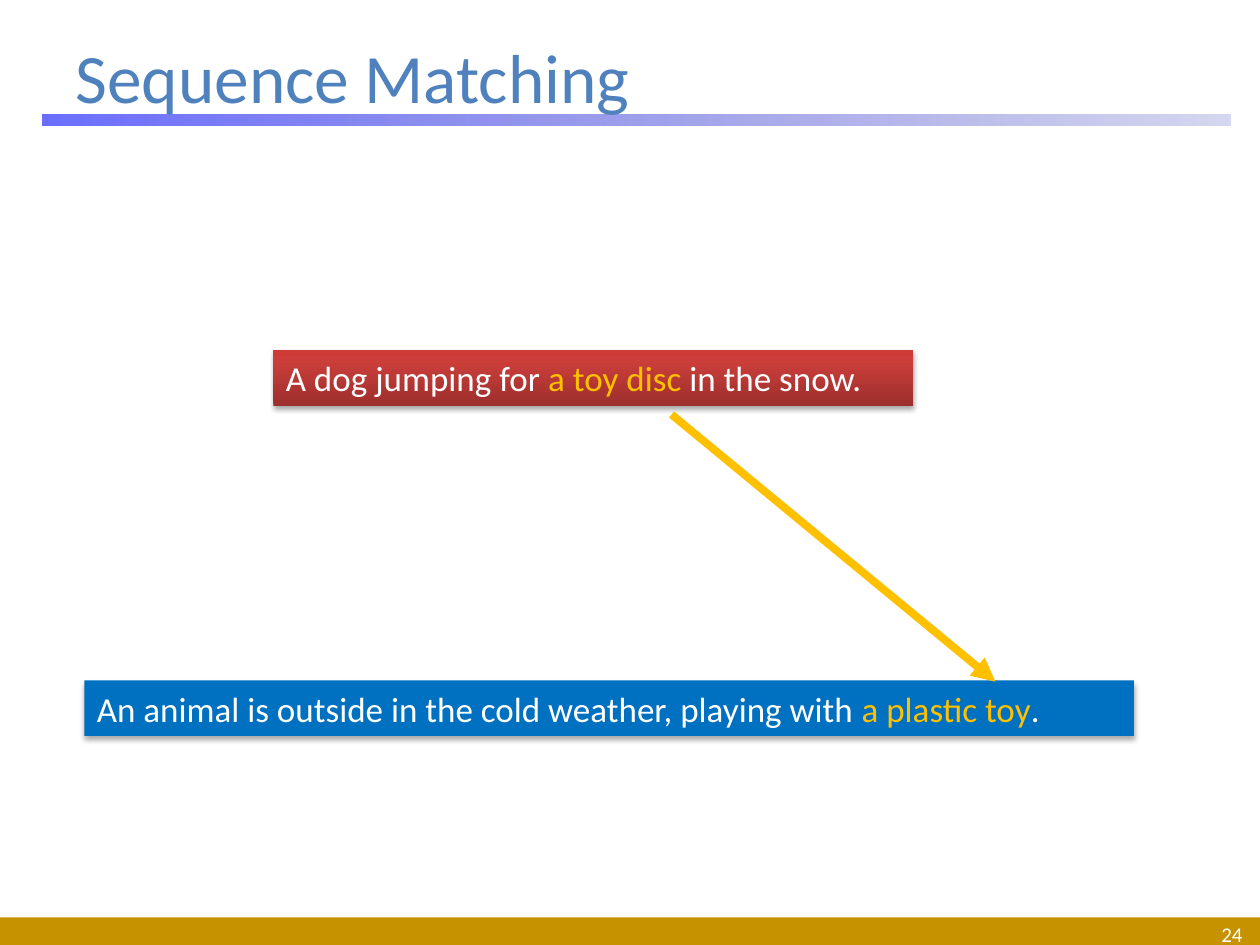
import pptx
import pptx.util
import pptx.oxml
import pptx.dml.color
import pptx.enum.shapes
import pptx.enum.text
from pptx.oxml.ns import nsdecls, qn
from pptx.util import Inches

COLORS = {
    "title": "4F81BD", "white": "FFFFFF", "mark": "FFC000",
    "foot": "C69200", "blue": "0070C0", "black": "000000",
}
# Gradient stops: position in percent, colour, opacity in percent
RULE = [(0, "464AFC", 80), (100, "3235B4", 20)]
RED = [(0, "9C2F2D", 100), (80, "CB3E3A", 100), (100, "CE3B37", 100)]


def rgb(name):
    return pptx.dml.color.RGBColor.from_string(COLORS[name])


class Deck:
    font = "Calibri"
    align = pptx.enum.text.PP_ALIGN
    middle = pptx.enum.text.MSO_ANCHOR.MIDDLE

    def __init__(self):
        self.prs = pptx.Presentation()
        self.prs.slide_width, self.prs.slide_height = Inches(10), Inches(7.5)
        self.slide = self.prs.slides.add_slide(self.prs.slide_layouts[5])

    def label(self, shape, runs, size, align):
        """Fill one paragraph with (text, colour name) runs."""
        frame = shape.text_frame
        frame.word_wrap = True
        frame.vertical_anchor = self.middle
        para = frame.paragraphs[0]
        para.alignment = align
        for text, color in runs:
            run = para.add_run()
            run.text = text
            run.font.name = self.font
            run.font.size = pptx.util.Pt(size)
            run.font.color.rgb = rgb(color)

    def title(self, text, box):
        shape = self.slide.shapes.title
        shape.left, shape.top, shape.width, shape.height = map(Inches, box)
        self.label(shape, [(text, "title")], 39.6, self.align.LEFT)
        shape.text_frame.auto_size = pptx.enum.text.MSO_AUTO_SIZE.NONE
        # The title lies over the rule below it
        shape.element.getparent().append(shape.element)

    def rect(self, box, fill, angle=0):
        """Draw a borderless box; fill is a colour name or gradient stops."""
        kind = pptx.enum.shapes.MSO_SHAPE.RECTANGLE
        shape = self.slide.shapes.add_shape(kind, *map(Inches, box))
        shape.shadow.inherit = False
        shape.line.fill.background()
        if isinstance(fill, str):
            shape.fill.solid()
            shape.fill.fore_color.rgb = rgb(fill)
        else:
            self.blend(shape, fill, angle)
        return shape

    def blend(self, shape, stops, angle):
        marks = "".join(
            f'<a:gs pos="{pos * 1000}"><a:srgbClr val="{color}">'
            f'<a:alpha val="{alpha * 1000}"/></a:srgbClr></a:gs>'
            for pos, color, alpha in stops)
        grad = pptx.oxml.parse_xml(
            f'<a:gradFill {nsdecls("a")} rotWithShape="1"><a:gsLst>{marks}</a:gsLst>'
            f'<a:lin ang="{angle * 60000}" scaled="0"/></a:gradFill>')
        shape.element.spPr.find(qn("a:ln")).addprevious(grad)

    def phrase(self, box, fill, runs, angle=0):
        """Draw a shadowed box that holds a sentence."""
        shape = self.rect(box, fill, angle)
        blur, dist = pptx.util.Pt(3.1), pptx.util.Pt(1.8)
        shape.element.spPr.find(qn("a:effectLst")).append(pptx.oxml.parse_xml(
            f'<a:outerShdw {nsdecls("a")} blurRad="{blur}" dist="{dist}" '
            f'dir="5400000" rotWithShape="0"><a:srgbClr val="{COLORS["black"]}">'
            '<a:alpha val="35000"/></a:srgbClr></a:outerShdw>'))
        self.label(shape, runs, 20, self.align.LEFT)

    def number(self, text, box):
        shape = self.slide.shapes.add_textbox(*map(Inches, box))
        self.label(shape, [(text, "white")], 12, self.align.RIGHT)
        shape.text_frame.margin_top = shape.text_frame.margin_bottom = 0

    def arrow(self, start, end):
        kind = pptx.enum.shapes.MSO_CONNECTOR.STRAIGHT
        line = self.slide.shapes.add_connector(kind, *map(Inches, start + end))
        line.line.color.rgb = rgb("mark")
        line.line.width = pptx.util.Pt(4.5)
        props = line.element.spPr
        props.find(qn("a:ln")).append(
            pptx.oxml.parse_xml(f'<a:tailEnd {nsdecls("a")} type="triangle"/>'))
        props.append(pptx.oxml.parse_xml(f'<a:effectLst {nsdecls("a")}/>'))


def main():
    deck = Deck()
    deck.rect((0, 7.28, 10, 0.25), "foot")
    deck.rect((0.34, 0.91, 9.43, 0.09), RULE)
    deck.title("Sequence Matching", (0.5, 0.3, 9, 0.61))
    deck.number("24", (7.63, 7.29, 2.33, 0.24))
    deck.phrase((0.67, 5.4, 8.33, 0.44), "blue", [
        ("An animal is outside in the cold weather, playing with ", "white"),
        ("a plastic toy", "mark"), (".", "white")])
    deck.phrase((2.17, 2.78, 5.08, 0.44), RED, [
        ("A dog jumping for ", "white"), ("a toy disc ", "mark"),
        ("in the snow.", "white")], angle=270)
    deck.arrow((5.33, 3.29), (7.9, 5.41))
    deck.prs.save("out.pptx")


if __name__ == "__main__":
    main()
